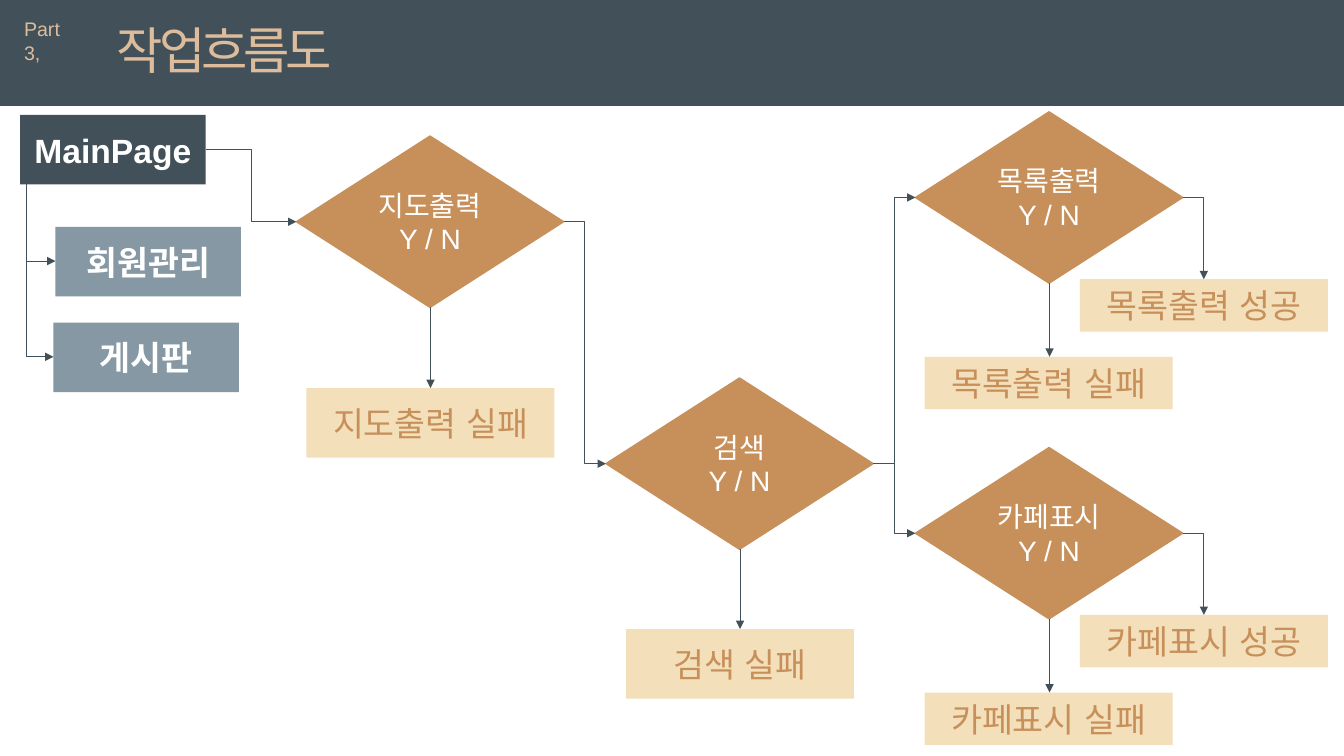
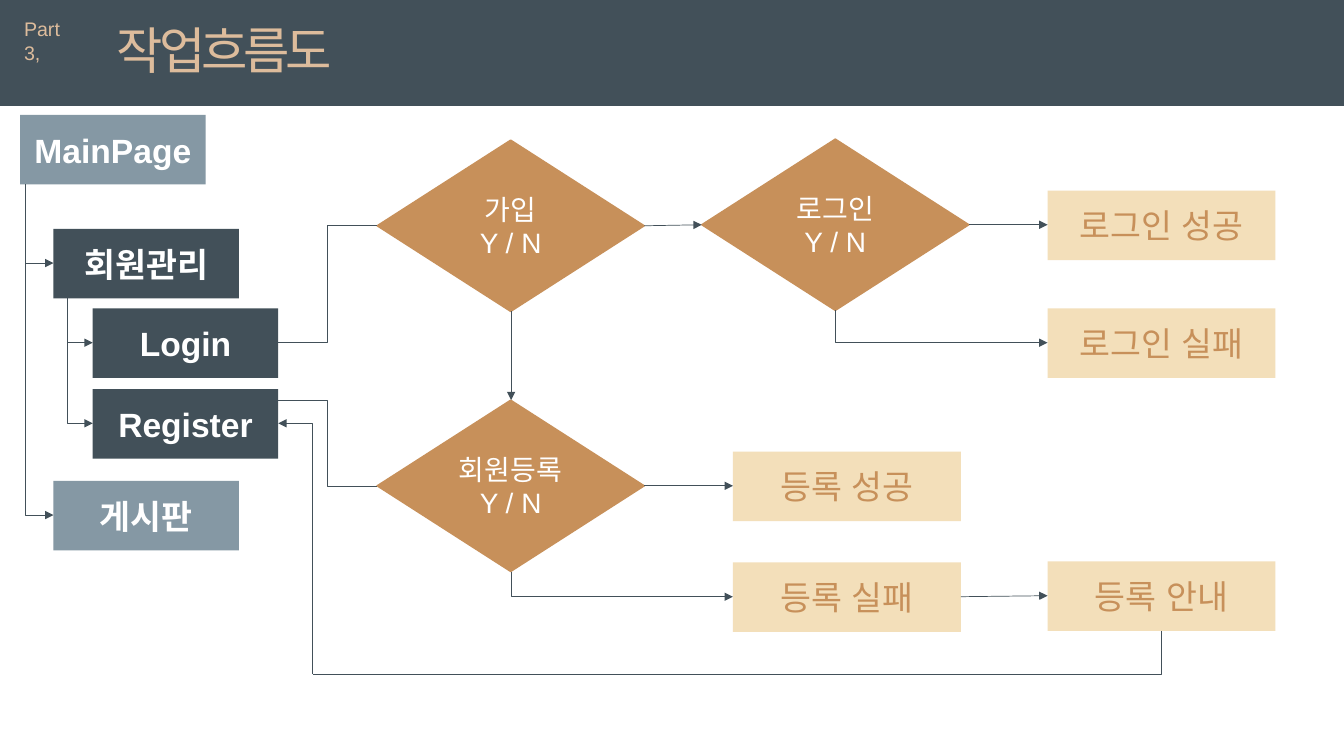
from dataclasses import dataclass
from typing import Any, NamedTuple

from lxml.etree import SubElement
from pptx import Presentation
from pptx.dml.color import RGBColor as Rgb
from pptx.enum.shapes import MSO_CONNECTOR as Route
from pptx.enum.shapes import MSO_SHAPE as Preset
from pptx.enum.text import MSO_ANCHOR as Anchor
from pptx.enum.text import PP_ALIGN as Align
from pptx.oxml.ns import qn
from pptx.slide import Slide
from pptx.util import Pt

PX = 9144
SLIDE_SIZE = (1333, 750)


@dataclass(frozen=True)
class Theme:
    font: str = "Arial"
    navy: str = "425059"
    slate: str = "8598A4"
    copper: str = "C7905A"
    cream: str = "F3DFBA"
    sand: str = "DDBC9C"
    white: str = "FFFFFF"
    title_size: int = 36
    label_size: int = 24
    question_size: int = 20
    part_size: int = 14
    title_spacing: int = -290
    flow_weight: float = 0.5
    outline_weight: float = 1


THEME = Theme()


class Point(NamedTuple):
    x: int
    y: int


@dataclass(frozen=True)
class Role:
    fill: str
    ink: str
    size: int = THEME.label_size
    bold: bool = False
    preset: Preset = Preset.RECTANGLE
    outlined: bool = False


ACTIVE = Role(THEME.navy, THEME.white, bold=True)
IDLE = Role(THEME.slate, THEME.white, bold=True)
RESULT = Role(THEME.cream, THEME.copper)
DECISION = Role(THEME.copper, THEME.white, THEME.question_size, preset=Preset.DIAMOND, outlined=True)


@dataclass(frozen=True)
class Node:
    label: str
    role: Role
    x: int
    y: int
    width: int = 184
    height: int = 69

    @property
    def left(self) -> Point:
        return Point(self.x, self.y + self.height // 2)

    @property
    def right(self) -> Point:
        return Point(self.x + self.width, self.left.y)

    @property
    def top(self) -> Point:
        return Point(self.x + (self.width + 1) // 2, self.y)

    @property
    def bottom(self) -> Point:
        return Point(self.top.x, self.y + self.height)


def decision(subject: str, x: int, y: int) -> Node:
    return Node(f"{subject}\nY / N", DECISION, x, y, 265, 170)


def result(label: str, x: int, y: int, width: int = 226, height: int = 69) -> Node:
    return Node(label, RESULT, x, y, width, height)


def apply(target: Any, values: dict[str, Any]) -> None:
    for key, value in values.items():
        setattr(target, key, value)


def emu(*lengths: int) -> list[int]:
    return [length * PX for length in lengths]


def write(frame: Any, text: str, ink: str, size: int, bold: bool = False,
          align: Align = Align.LEFT, anchor: Anchor = Anchor.TOP, spacing: int = 0) -> None:
    apply(frame, {"word_wrap": True, "vertical_anchor": anchor})
    for index, line in enumerate(text.split("\n")):
        paragraph = frame.add_paragraph() if index else frame.paragraphs[0]
        paragraph.alignment = align
        run = paragraph.add_run()
        run.text = line
        apply(run.font, {"name": THEME.font, "size": Pt(size), "bold": bold})
        run.font.color.rgb = Rgb.from_string(ink)
        properties = run.font._element
        SubElement(properties, qn("a:ea")).set("typeface", THEME.font)
        if spacing:
            properties.set("spc", str(spacing))


def block(slide: Slide, role: Role, x: int, y: int, width: int, height: int) -> Any:
    shape = slide.shapes.add_shape(role.preset, *emu(x, y, width, height))
    shape.shadow.inherit = False
    shape.fill.solid()
    shape.fill.fore_color.rgb = Rgb.from_string(role.fill)
    if role.outlined:
        shape.line.color.rgb = Rgb.from_string(role.fill)
        shape.line.width = Pt(THEME.outline_weight)
    else:
        shape.line.fill.background()
    return shape


def draw_header(slide: Slide) -> None:
    block(slide, ACTIVE, 0, 0, SLIDE_SIZE[0], 105)
    title = slide.shapes.add_textbox(*emu(106, 14, 450, 71))
    write(title.text_frame, "작업흐름도", THEME.sand, THEME.title_size, spacing=THEME.title_spacing)
    part = slide.shapes.add_textbox(*emu(14, 12, 76, 32))
    write(part.text_frame, "Part 3,", THEME.sand, THEME.part_size)


def draw_nodes(slide: Slide, nodes: list[Node]) -> None:
    for node in nodes:
        role = node.role
        shape = block(slide, role, node.x, node.y, node.width, node.height)
        write(shape.text_frame, node.label, role.ink, role.size, role.bold, Align.CENTER, Anchor.MIDDLE)


def flow(slide: Slide, start: Point, end: Point, route: Route = Route.STRAIGHT, arrow: bool = True) -> Any:
    connector = slide.shapes.add_connector(route, *emu(*start, *end))
    connector.line.color.rgb = Rgb.from_string(THEME.navy)
    connector.line.width = Pt(THEME.flow_weight)
    if arrow:
        SubElement(connector.line._get_or_add_ln(), qn("a:tailEnd")).set("type", "triangle")
    SubElement(connector._element.spPr, qn("a:effectLst"))
    return connector


def elbow(slide: Slide, start: Point, end: Point, arrow: bool = True) -> None:
    flow(slide, start, end, Route.ELBOW, arrow)


def corner(slide: Slide, start: Point, end: Point, arrow: bool = True, upright: bool = True) -> None:
    connector = flow(slide, start, end, Route.ELBOW, arrow)
    properties = connector._element.spPr
    properties.find(qn("a:prstGeom")).set("prst", "bentConnector2")
    if not upright:
        return
    across, along = abs(end.x - start.x), abs(end.y - start.y)
    center_x, center_y = (start.x + end.x) * PX // 2, (start.y + end.y) * PX // 2
    width, height = emu(along, across)
    apply(connector, {"left": center_x - width // 2, "top": center_y - height // 2,
                      "width": width, "height": height})
    down, leftward = end.y > start.y, end.x < start.x
    quarter = down and leftward
    apply(properties.xfrm, {"rot": 90 if quarter else 270,
                            "flipH": down and not quarter, "flipV": leftward and not quarter})


def trunk(slide: Slide, x: int, parent: Node, children: list[Node]) -> None:
    *branches, last = children
    corner(slide, Point(x, parent.bottom.y), last.left)
    for child in branches:
        flow(slide, Point(x, child.left.y), child.left)


def drop(slide: Slide, upper: Node, lower: Node) -> None:
    flow(slide, upper.bottom, Point(upper.bottom.x, lower.y))


def draw_search_flow(slide: Slide) -> None:
    main_page = Node("MainPage", ACTIVE, 20, 114)
    members = Node("회원관리", IDLE, 55, 225)
    board = Node("게시판", IDLE, 53, 320)
    map_view = decision("지도출력", 294, 135)
    map_failed = result("지도출력 실패", 304, 385, 246)
    search = decision("검색", 601, 375)
    search_failed = result("검색 실패", 621, 624)
    draw_nodes(slide, [main_page, members, board, map_view, map_failed, search, search_failed])
    trunk(slide, 26, main_page, [members, board])
    elbow(slide, main_page.right, map_view.left)
    elbow(slide, map_view.right, search.left)
    drop(slide, map_view, map_failed)
    drop(slide, search, search_failed)

    for subject, y in (("목록출력", 111), ("카페표시", 444)):
        question = decision(subject, 908, y)
        failed = result(f"{subject} 실패", 917, y + 243, 246, 52)
        passed = result(f"{subject} 성공", 1071, y + 166, 246, 52)
        draw_nodes(slide, [question, failed, passed])
        elbow(slide, search.right, question.left)
        drop(slide, question, failed)
        corner(slide, question.right, passed.top, upright=False)


def draw_member_flow(slide: Slide) -> None:
    main_page = Node("MainPage", IDLE, 20, 114)
    members = Node("회원관리", ACTIVE, 53, 227)
    login = Node("Login", ACTIVE, 92, 306)
    register = Node("Register", ACTIVE, 92, 386)
    board = Node("게시판", IDLE, 53, 477)
    joined = decision("가입", 374, 139)
    signing_in = decision("로그인", 696, 138)
    enrolling = decision("회원등록", 374, 397)
    login_passed = result("로그인 성공", 1039, 189)
    login_failed = result("로그인 실패", 1039, 306)
    enroll_passed = result("등록 성공", 727, 448)
    enroll_failed = result("등록 실패", 727, 558)
    guidance = result("등록 안내", 1039, 557)
    draw_nodes(slide, [main_page, members, login, register, board, joined, signing_in, enrolling,
                       login_passed, login_failed, enroll_passed, enroll_failed, guidance])

    trunk(slide, 25, main_page, [members, board])
    trunk(slide, 67, members, [login, register])
    elbow(slide, login.right, joined.left, arrow=False)
    elbow(slide, Point(register.right.x, 397), enrolling.left, arrow=False)
    for source, target in ((joined, signing_in), (signing_in, login_passed),
                           (enrolling, enroll_passed), (enroll_failed, guidance)):
        flow(slide, source.right, target.left)
    drop(slide, joined, enrolling)
    corner(slide, signing_in.bottom, login_failed.left)
    corner(slide, enrolling.bottom, enroll_failed.left)
    return_turn = Point(310, 669)
    corner(slide, guidance.bottom, return_turn, arrow=False)
    corner(slide, return_turn, register.right)


def main() -> None:
    deck = Presentation()
    width, height = emu(*SLIDE_SIZE)
    apply(deck, {"slide_width": width, "slide_height": height})
    for draw_flow in (draw_search_flow, draw_member_flow):
        slide = deck.slides.add_slide(deck.slide_layouts[6])
        draw_header(slide)
        draw_flow(slide)
    deck.save("out.pptx")


if __name__ == "__main__":
    main()
